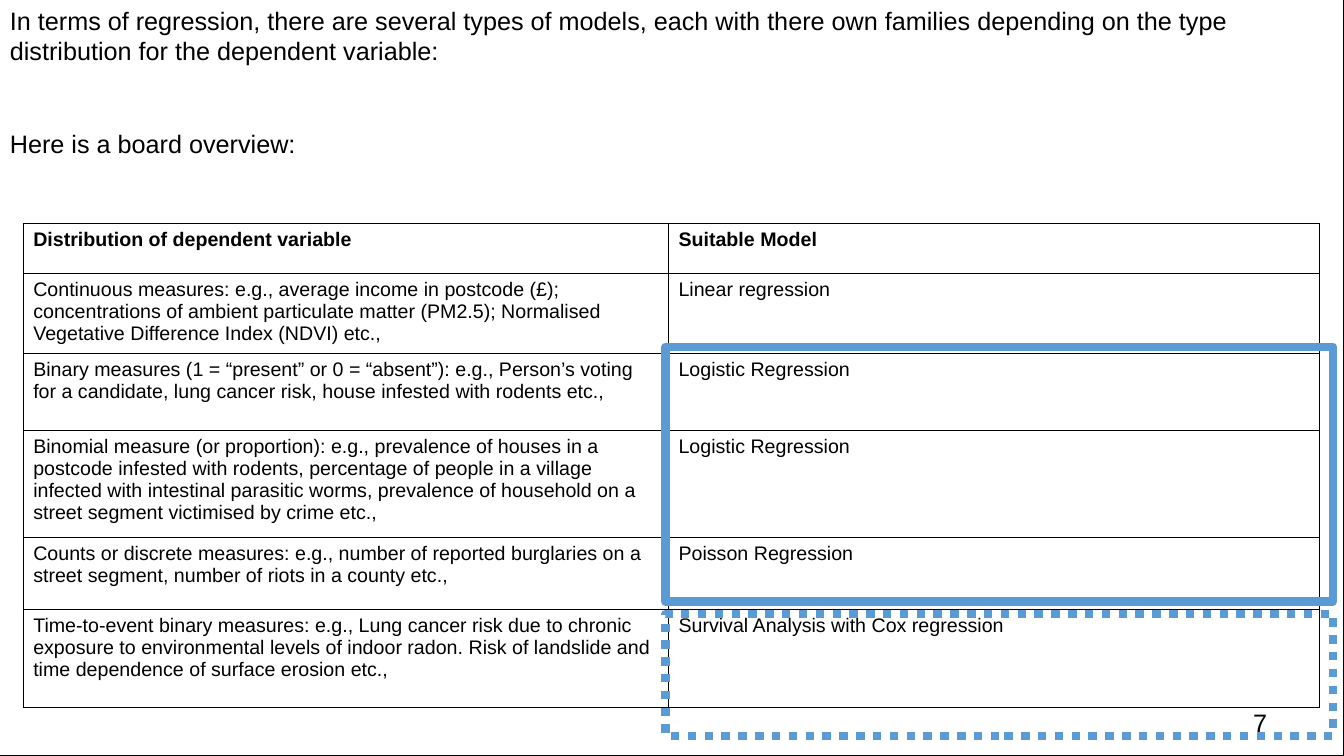
import pptx
import pptx.util
import pptx.dml.color
import pptx.enum.dml
import pptx.enum.shapes
import pptx.enum.text
import pptx.oxml
import pptx.oxml.ns

Inches = pptx.util.Inches
Pt = pptx.util.Pt
BLACK = pptx.dml.color.RGBColor(0x00, 0x00, 0x00)
BLUE = pptx.dml.color.RGBColor(0x5B, 0x9B, 0xD5)
FONT = "Arial"

INTRO = ("In terms of regression, there are several types of models, each with there own families "
         "depending on the type distribution for the dependent variable:")
OVERVIEW = "Here is a board overview:"

MODELS = [
    ("Distribution of dependent variable", "Suitable Model"),
    ("Continuous measures: e.g., average income in postcode (£); concentrations of ambient "
     "particulate matter (PM2.5); Normalised Vegetative Difference Index (NDVI) etc.,",
     "Linear regression"),
    ("Binary measures (1 = “present” or 0 = “absent”): e.g., Person’s voting for a candidate, "
     "lung cancer risk, house infested with rodents etc.,",
     "Logistic Regression"),
    ("Binomial measure (or proportion): e.g., prevalence of houses in a postcode infested with "
     "rodents, percentage of people in a village infected with intestinal parasitic worms, "
     "prevalence of household on a street segment victimised by crime etc.,",
     "Logistic Regression"),
    ("Counts or discrete measures: e.g., number of reported burglaries on a street segment, "
     "number of riots in a county etc.,",
     "Poisson Regression"),
    ("Time-to-event binary measures: e.g., Lung cancer risk due to chronic exposure to "
     "environmental levels of indoor radon. Risk of landslide and time dependence of surface "
     "erosion etc.,",
     "Survival Analysis with Cox regression"),
]
ROW_HEIGHTS = [0.49, 0.8, 0.76, 1.06, 0.72, 0.97]
COL_WIDTHS = [6.4, 6.46]


def write(p, text, size=18, bold=False, before=0):
    """Put formatted text in a paragraph."""
    p.alignment = pptx.enum.text.PP_ALIGN.LEFT
    p.space_before = Pt(before)
    r = p.add_run()
    r.text = text
    r.font.name = FONT
    r.font.size = Pt(size)
    r.font.bold = bold
    r.font.color.rgb = BLACK


def add_frame(s, x, y, w, h, color, weight, dash=None):
    """Add an unfilled, outlined rectangle."""
    sp = s.shapes.add_shape(pptx.enum.shapes.MSO_SHAPE.RECTANGLE,
                            Inches(x), Inches(y), Inches(w), Inches(h))
    sp.shadow.inherit = False
    sp.fill.background()
    sp.line.color.rgb = color
    sp.line.width = Pt(weight)
    if dash is not None:
        sp.line.dash_style = dash
    return sp


def add_intro(s, x, y, w, h):
    """Add the framed body with its two introductory paragraphs."""
    tf = add_frame(s, x, y, w, h, BLACK, 0.75).text_frame
    tf.word_wrap = True
    tf.vertical_anchor = pptx.enum.text.MSO_ANCHOR.TOP
    write(tf.paragraphs[0], INTRO)
    write(tf.add_paragraph(), OVERVIEW, before=45)


def set_borders(cell, color, weight):
    """Draw all four borders of a table cell."""
    tcPr = cell._tc.get_or_add_tcPr()
    for side in ("lnL", "lnR", "lnT", "lnB"):
        tcPr.append(pptx.oxml.parse_xml(
            f'<a:{side} {pptx.oxml.ns.nsdecls("a")} w="{Pt(weight)}">'
            f'<a:solidFill><a:srgbClr val="{color}"/></a:solidFill></a:{side}>'))


def add_models(s, x, y):
    """Add the table of distributions and suitable models."""
    table = s.shapes.add_table(len(MODELS), len(COL_WIDTHS), Inches(x), Inches(y),
                               Inches(sum(COL_WIDTHS)), Inches(sum(ROW_HEIGHTS))).table
    table.first_row = False
    table.horz_banding = False
    for col, width in zip(table.columns, COL_WIDTHS):
        col.width = Inches(width)
    for i, (row, height, texts) in enumerate(zip(table.rows, ROW_HEIGHTS, MODELS)):
        row.height = Inches(height)
        for cell, text in zip(row.cells, texts):
            set_borders(cell, BLACK, 1)
            cell.fill.background()
            write(cell.text_frame.paragraphs[0], text, size=14, bold=i == 0)


def add_highlights(s, x, y, w):
    """Frame the models covered with a solid line and the last one with dots."""
    add_frame(s, x, y, w, 2.53, BLUE, 6)
    add_frame(s, x, y + 2.65, w, 1.21, BLUE, 6, pptx.enum.dml.MSO_LINE.ROUND_DOT)


def add_page_number(s, x, y, w, h, number):
    """Add the page number."""
    tf = s.shapes.add_textbox(Inches(x), Inches(y), Inches(w), Inches(h)).text_frame
    tf.word_wrap = True
    write(tf.paragraphs[0], number)


def main():
    """Build and save the slide."""
    prs = pptx.Presentation()
    prs.slide_width = Inches(13.33)
    prs.slide_height = Inches(7.5)
    s = prs.slides.add_slide(prs.slide_layouts[6])
    add_intro(s, 0, 0, 13.33, 7.5)
    add_models(s, 0.23, 2.22)
    add_highlights(s, 6.6, 3.44, 6.62)
    add_page_number(s, 12.33, 6.97, 0.59, 0.16, "7")
    prs.save("out.pptx")


if __name__ == "__main__":
    main()
